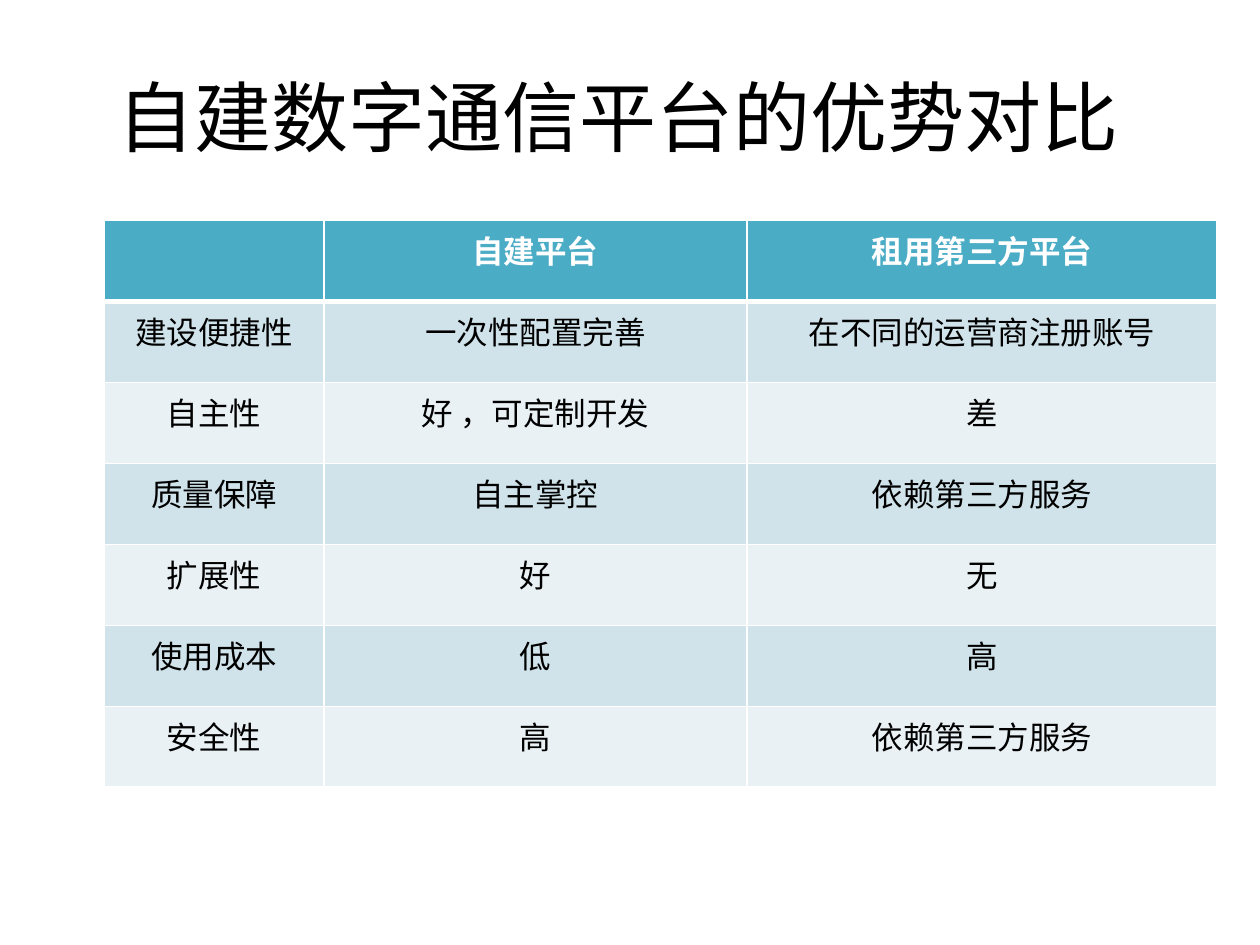
import dataclasses

import pptx
import pptx.dml.color
import pptx.enum.text
import pptx.oxml.ns
import pptx.util
from lxml import etree


@dataclasses.dataclass(frozen=True)
class Theme:
    latin_font: str = "Calibri"
    chinese_font: str = "Noto Sans CJK SC"
    title_size: int = 44
    cell_size: int = 18
    text: str = "000000"
    white: str = "FFFFFF"
    header: str = "4BACC6"
    bands: tuple = ("D0E3EA", "E9F1F5")
    rule: int = 1
    header_rule: int = 3


THEME = Theme()
LEFT, WIDTH = 0.83, 8.83
TITLE_TOP, TITLE_HEIGHT = 0.29, 1.25
TABLE_TOP, TABLE_HEIGHT = 1.75, 4.5
COLUMN_WIDTHS = (1.74, 3.36, 3.73)
TITLE = "自建数字通信平台的优势对比"
ROWS = (
    ("", "自建平台", "租用第三方平台"),
    ("建设便捷性", "一次性配置完善", "在不同的运营商注册账号"),
    ("自主性", "好 ，可定制开发", "差"),
    ("质量保障", "自主掌控", "依赖第三方服务"),
    ("扩展性", "好", "无"),
    ("使用成本", "低", "高"),
    ("安全性", "高", "依赖第三方服务"),
)


def rgb(color):
    return pptx.dml.color.RGBColor.from_string(color)


def write_text(frame, text, size, color=THEME.text, bold=False, align="CENTER",
               font=THEME.latin_font):
    para = frame.paragraphs[0]
    para.alignment = getattr(pptx.enum.text.PP_ALIGN, align)
    span = para.add_run()
    span.text = text
    span.font.size = pptx.util.Pt(size)
    span.font.bold = bold
    span.font.color.rgb = rgb(color)
    span.font.name = font
    east_asian = etree.SubElement(span.font._element, pptx.oxml.ns.qn("a:ea"))
    east_asian.set("typeface", THEME.chinese_font)


def add_borders(cell, **widths):
    """Draw white borders; widths are points keyed by side letter (L, R, T, B)."""
    properties = cell._tc.get_or_add_tcPr()
    for side, width in widths.items():
        line = etree.SubElement(properties, pptx.oxml.ns.qn(f"a:ln{side}"))
        line.set("w", str(pptx.util.Pt(width)))
        fill = etree.SubElement(line, pptx.oxml.ns.qn("a:solidFill"))
        color = etree.SubElement(fill, pptx.oxml.ns.qn("a:srgbClr"))
        color.set("val", THEME.white)


def format_cell(cell, text, row):
    is_header = row == 0
    top = THEME.header_rule if row == 1 else THEME.rule
    bottom = THEME.header_rule if is_header else THEME.rule
    add_borders(cell, L=THEME.rule, R=THEME.rule, T=top, B=bottom)
    cell.fill.solid()
    cell.fill.fore_color.rgb = rgb(THEME.header if is_header else THEME.bands[(row - 1) % 2])
    if text:
        is_last = row == len(ROWS) - 1
        write_text(cell.text_frame, text, THEME.cell_size, bold=is_header,
                   color=THEME.white if is_header else THEME.text,
                   font=THEME.latin_font if is_last else THEME.chinese_font)


def add_title(page):
    box = page.shapes.title
    box.left, box.top, box.width, box.height = map(
        pptx.util.Inches, (LEFT, TITLE_TOP, WIDTH, TITLE_HEIGHT))
    box.text_frame.vertical_anchor = pptx.enum.text.MSO_ANCHOR.MIDDLE
    write_text(box.text_frame, TITLE, THEME.title_size, align="LEFT")


def add_comparison_table(page):
    place = map(pptx.util.Inches, (LEFT, TABLE_TOP, WIDTH, TABLE_HEIGHT))
    table = page.shapes.add_table(len(ROWS), len(COLUMN_WIDTHS), *place).table
    for column, width in zip(table.columns, COLUMN_WIDTHS):
        column.width = pptx.util.Inches(width)
    for row, texts in enumerate(ROWS):
        for column, text in enumerate(texts):
            format_cell(table.cell(row, column), text, row)


def main():
    deck = pptx.Presentation()
    deck.slide_width = pptx.util.Inches(10)
    deck.slide_height = pptx.util.Inches(7.5)
    page = deck.slides.add_slide(deck.slide_layouts.get_by_name("Title Only"))
    add_title(page)
    add_comparison_table(page)
    deck.save("out.pptx")


if __name__ == "__main__":
    main()
